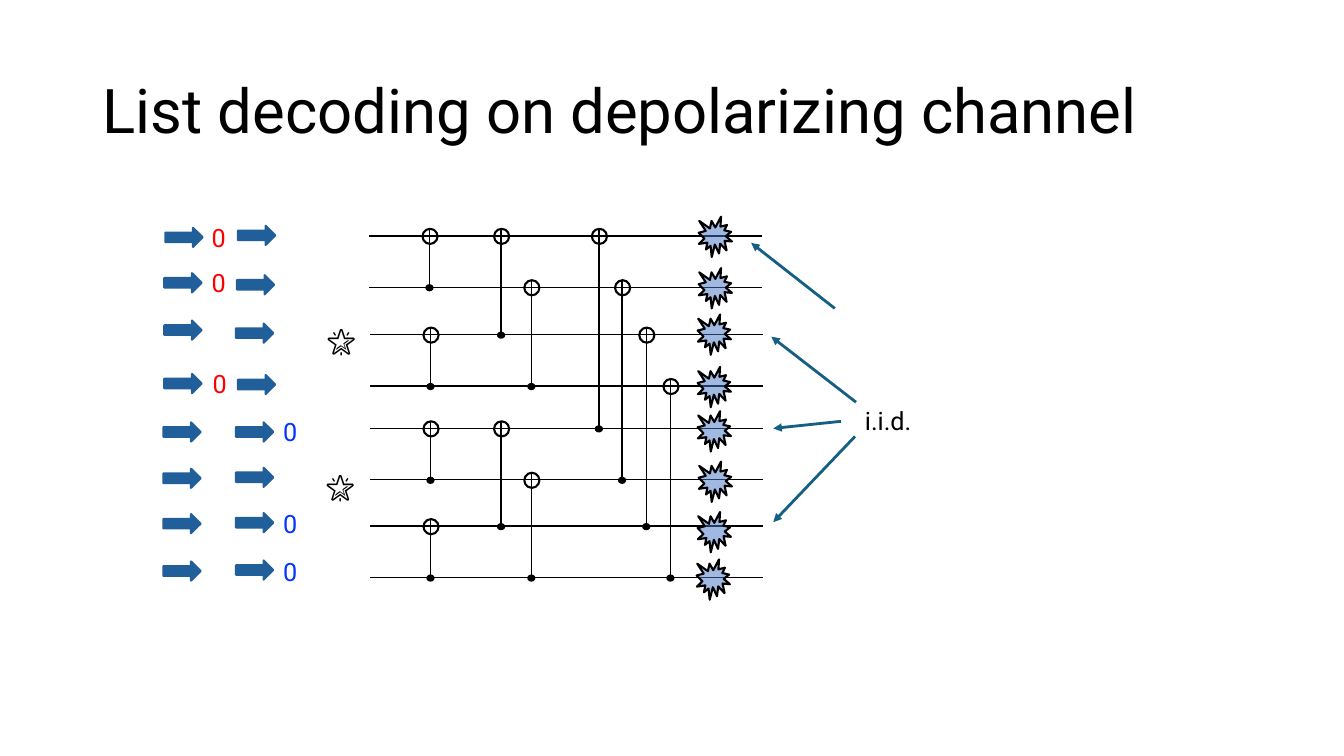
from lxml.etree import SubElement
from pptx import Presentation
from pptx.dml.color import RGBColor
from pptx.enum.shapes import MSO_CONNECTOR, MSO_SHAPE
from pptx.enum.text import MSO_ANCHOR, MSO_AUTO_SIZE
from pptx.oxml.ns import qn
from pptx.util import Inches, Pt

COLORS = {
    "black": "000000",
    "burst": "4472C4",
    "block": "215F9A",
    "pointer": "156082",
    "red": "FF0000",
    "blue": "0034FF",
}

# Wire heights and the left end of each wire
WIRES = [2.34, 2.85, 3.32, 3.83, 4.25, 4.76, 5.22, 5.73]
WIRE_LEFT = [3.66] * 2 + [3.67] * 6
WIRE_LENGTH = 3.9

# Gates: x, target wire, control wire
GATES = [
    (4.26, 0, 1), (4.27, 2, 3), (4.27, 4, 5), (4.27, 6, 7),
    (4.97, 0, 2), (5.27, 1, 3), (4.97, 4, 6), (5.27, 5, 7),
    (5.94, 0, 4), (6.17, 1, 5), (6.41, 2, 6), (6.65, 3, 7),
]

# Left and top of each noise burst and block arrow, by wire
BURSTS = [(6.93, 2.15), (6.93, 2.66), (6.92, 3.12), (6.92, 3.64),
          (6.92, 4.08), (6.93, 4.58), (6.92, 5.08), (6.91, 5.55)]
FIRST_ARROWS = [(1.64, 2.26), (1.63, 2.71), (1.63, 3.18), (1.63, 3.71),
                (1.62, 4.19), (1.62, 4.65), (1.62, 5.1), (1.62, 5.57)]
SECOND_ARROWS = [(2.36, 2.24), (2.35, 2.73), (2.34, 3.21), (2.36, 3.72),
                 (2.34, 4.19), (2.34, 4.64), (2.34, 5.09), (2.34, 5.56)]

# Decoded zeros: left, top, color
ZEROS = [(2, 2.16, "red"), (2, 2.6, "red"), (2.01, 3.6, "red"),
         (2.71, 4.08, "blue"), (2.71, 4.99, "blue"), (2.71, 5.47, "blue")]
STARS = [(3.14, 3.15), (3.13, 4.6)]

# Pointers from the label to the bursts: start, end
POINTERS = [((8.28, 3.06), (7.45, 2.41)), ((8.49, 3.99), (7.65, 3.34)),
            ((8.34, 4.18), (7.67, 4.25)), ((8.48, 4.33), (7.67, 5.18))]


class SlideBuilder:
    font = "Roboto"

    def __init__(self, slide):
        self.shapes = slide.shapes

    def color(self, name):
        return RGBColor.from_string(COLORS[name])

    def text(self, left, top, width, height, words, size, color="black"):
        box = self.shapes.add_textbox(Inches(left), Inches(top), Inches(width), Inches(height))
        frame = box.text_frame
        frame.word_wrap = False
        frame.auto_size = MSO_AUTO_SIZE.SHAPE_TO_FIT_TEXT
        span = frame.paragraphs[0].add_run()
        span.text = words
        span.font.name = self.font
        span.font.size = Pt(size)
        span.font.color.rgb = self.color(color)
        return frame

    def title(self, words):
        frame = self.text(0.92, 0.4, 11.5, 1.45, words, 44)
        frame.word_wrap = True
        frame.auto_size = MSO_AUTO_SIZE.NONE
        frame.vertical_anchor = MSO_ANCHOR.MIDDLE
        frame.paragraphs[0].line_spacing = 0.9

    def shape(self, kind, left, top, width, height, fill=None, line="black", opacity=100):
        shape = self.shapes.add_shape(kind, Inches(left), Inches(top), Inches(width), Inches(height))
        shape.shadow.inherit = False
        shape.line.color.rgb = self.color(line)
        shape.line.width = Pt(1.5)
        if fill is None:
            shape.fill.background()
            return
        shape.fill.solid()
        shape.fill.fore_color.rgb = self.color(fill)
        if opacity < 100:
            tint = shape.fill._xPr.find(f"{qn('a:solidFill')}/{qn('a:srgbClr')}")
            SubElement(tint, qn("a:alpha"), val=str(opacity * 1000))

    def line(self, start, end, color="black", width=1, arrow=False):
        ends = [Inches(length) for length in (*start, *end)]
        line = self.shapes.add_connector(MSO_CONNECTOR.STRAIGHT, *ends)
        line.line.color.rgb = self.color(color)
        line.line.width = Pt(width)
        if arrow:
            SubElement(line.line._get_or_add_ln(), qn("a:tailEnd"), type="triangle")
        SubElement(line._element.spPr, qn("a:effectLst"))

    def gate(self, x, target, control):
        self.shape(MSO_SHAPE.OVAL, x - 0.07, target - 0.07, 0.15, 0.15)
        self.line((x, control + 0.02), (x, target - 0.07))
        self.shape(MSO_SHAPE.OVAL, x - 0.03, control - 0.02, 0.06, 0.05, fill="black")

    def burst(self, left, top):
        self.shape(MSO_SHAPE.EXPLOSION1, left, top, 0.33, 0.4, fill="burst", opacity=50)

    def block_arrow(self, left, top):
        self.shape(MSO_SHAPE.RIGHT_ARROW, left, top, 0.37, 0.19, fill="block", line="block")


def main():
    deck = Presentation()
    deck.slide_width, deck.slide_height = Inches(13.33), Inches(7.5)
    page = SlideBuilder(deck.slides.add_slide(deck.slide_layouts[6]))

    page.title("List decoding on depolarizing channel")

    # Circuit
    for left, y in zip(WIRE_LEFT, WIRES):
        page.line((left, y), (left + WIRE_LENGTH, y))
    for x, target, control in GATES:
        page.gate(x, WIRES[target], WIRES[control])

    # Channel noise
    for left, top in BURSTS:
        page.burst(left, top)

    # Decoding order and results
    for left, top in FIRST_ARROWS + SECOND_ARROWS:
        page.block_arrow(left, top)
    for left, top, color in ZEROS:
        page.text(left, top, 0.34, 0.4, "0", 18, color)
    for left, top in STARS:
        page.text(left, top, 0.68, 0.54, "🌟", 20)

    # Noise label
    page.text(8.48, 3.97, 0.67, 0.4, "i.i.d.", 18)
    for start, end in POINTERS:
        page.line(start, end, "pointer", 2, arrow=True)

    deck.save("out.pptx")


if __name__ == "__main__":
    main()
